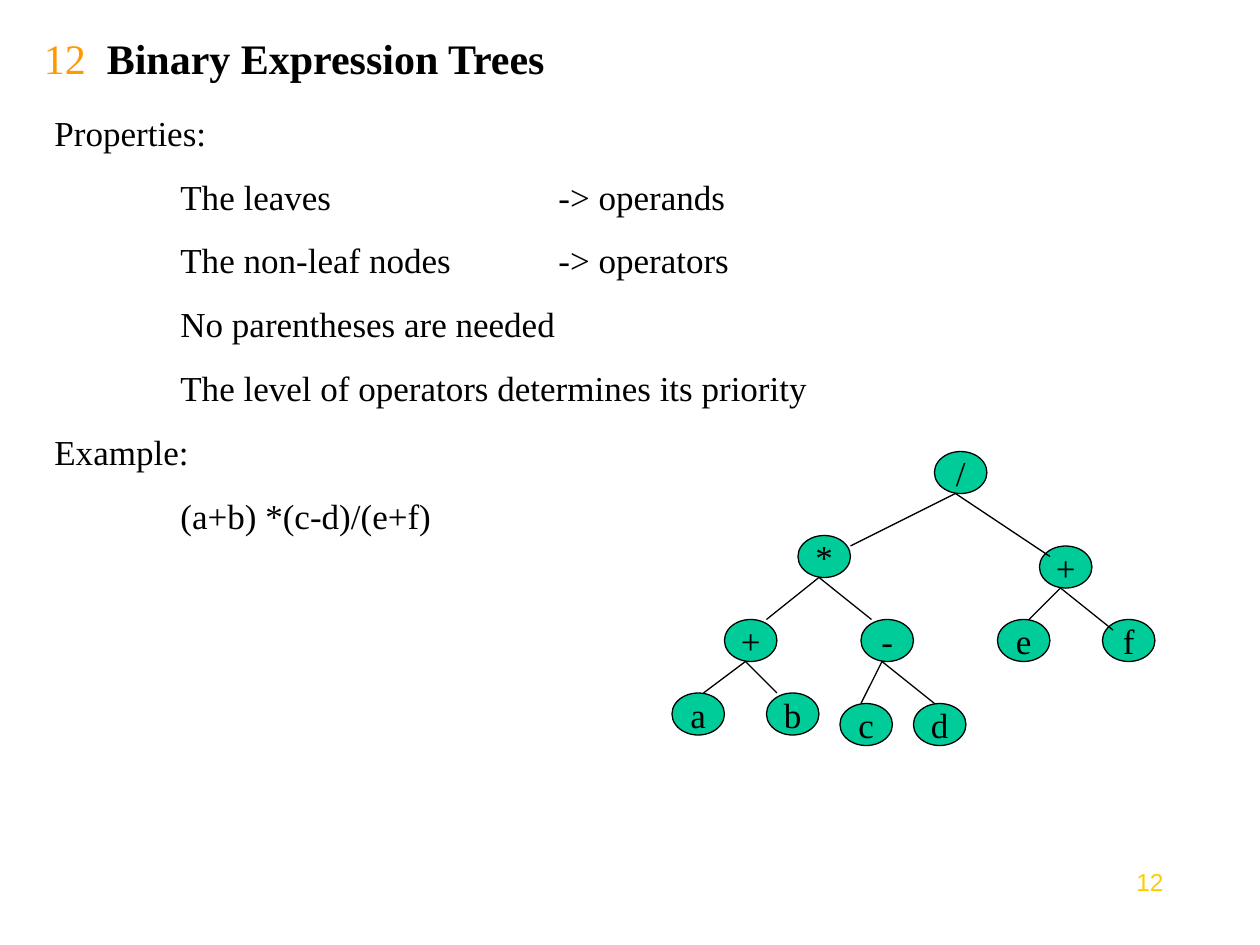
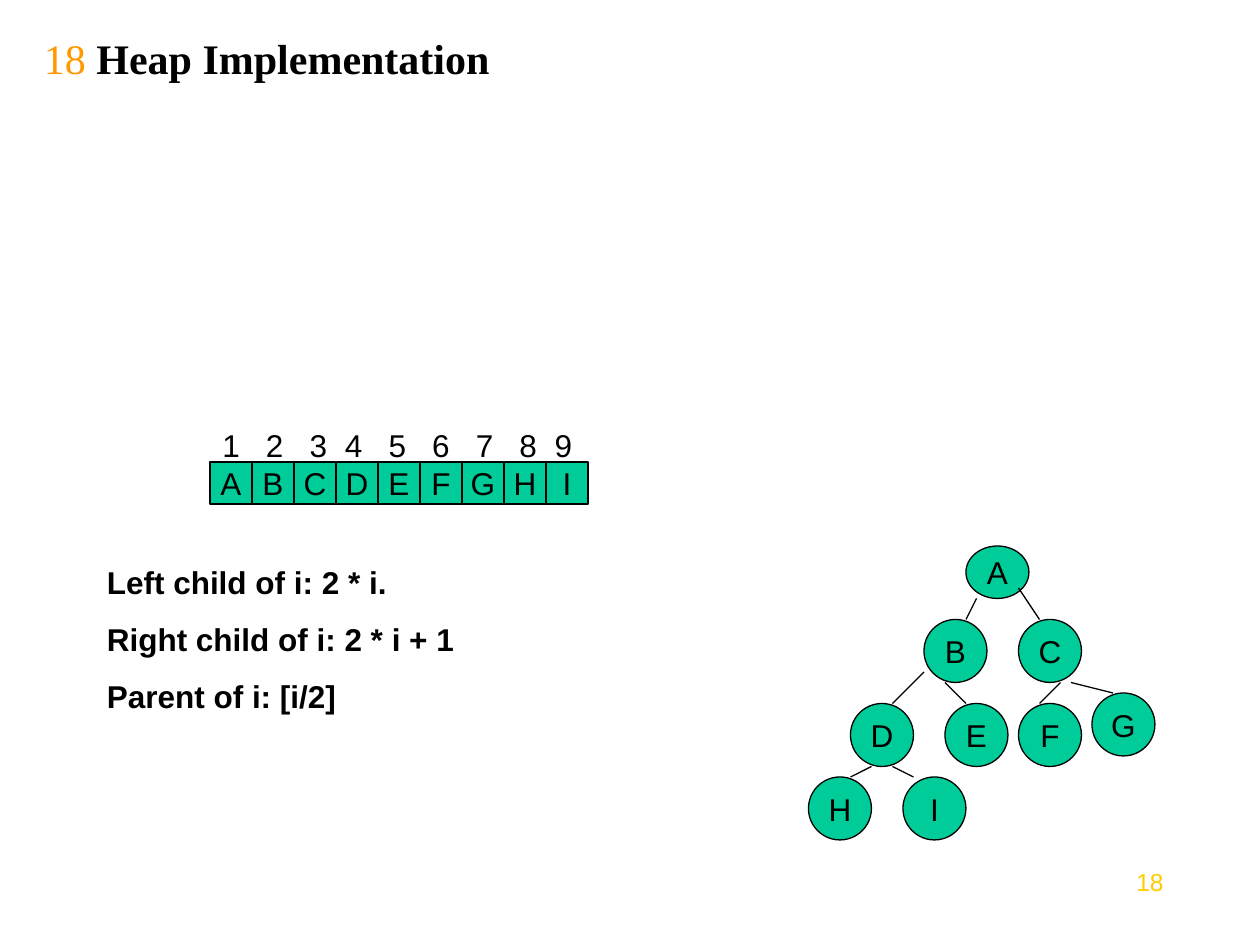
from itertools import accumulate

from lxml import etree
from pptx import Presentation
from pptx import util as u
from pptx.dml.color import RGBColor
from pptx.enum import shapes, text
from pptx.oxml.ns import qn

SERIF, SANS = "Times New Roman", "Arial"
BLACK, ORANGE, YELLOW, GREEN = "000000", "FF9900", "FFCC00", "00CC99"


def grid(n):
    """Turn layout units, twelve to the inch, into a length."""
    return u.Cm(n * 2.54 / 12)


def color(hex_code):
    return RGBColor.from_string(hex_code)


class Deck:
    """Holds the shared style and the slide being filled."""

    def __init__(self):
        self.prs = Presentation()
        self.prs.slide_width, self.prs.slide_height = u.Cm(25.4), u.Cm(19.05)
        self.slide = None

    def new_slide(self, number, title, title_stop):
        """Start a slide with its footer number and a title set at title_stop cm."""
        self.slide = self.prs.slides.add_slide(self.prs.slide_layouts[6])
        self.text_box((104, 82, 8, 6.2), [[(number, YELLOW, False)]], SANS, 14,
                      align=text.PP_ALIGN.RIGHT)
        self.text_box((3, 3, 102, 5),
                      [[(number + "\t", ORANGE, False), (title, BLACK, True)]],
                      SERIF, 24, stops=[title_stop], anchor=text.MSO_ANCHOR.MIDDLE)

    def fill_paragraph(self, paragraph, runs, font, size, align=text.PP_ALIGN.LEFT,
                       before=0, stops=()):
        """Add (words, colour, bold) runs; stops are tab positions in cm."""
        paragraph.alignment = align
        paragraph.line_spacing = u.Pt(size * 1.2)
        paragraph.space_before = u.Pt(before)
        if stops:
            tabs = etree.SubElement(paragraph._p.get_or_add_pPr(), qn("a:tabLst"))
            for stop in stops:
                etree.SubElement(tabs, qn("a:tab"), pos=str(u.Cm(stop)), algn="l")
        for words, hex_code, bold in runs:
            run = paragraph.add_run()
            run.text = words
            run.font.name, run.font.size, run.font.bold = font, u.Pt(size), bold
            run.font.color.rgb = color(hex_code)

    def text_box(self, box, lines, font, size, anchor=text.MSO_ANCHOR.TOP, **layout):
        frame = self.slide.shapes.add_textbox(*map(grid, box)).text_frame
        frame.word_wrap = True
        frame.vertical_anchor = anchor
        for i, runs in enumerate(lines):
            paragraph = frame.add_paragraph() if i else frame.paragraphs[0]
            self.fill_paragraph(paragraph, runs, font, size, **layout)

    def node(self, label, box, font, size, kind=shapes.MSO_SHAPE.OVAL):
        shape = self.slide.shapes.add_shape(kind, *map(grid, box))
        shape.shadow.inherit = False
        shape.fill.solid()
        shape.fill.fore_color.rgb = color(GREEN)
        shape.line.color.rgb = color(BLACK)
        shape.line.width = u.Pt(0.75)
        frame = shape.text_frame
        frame.word_wrap = False
        frame.vertical_anchor = text.MSO_ANCHOR.MIDDLE
        self.fill_paragraph(frame.paragraphs[0], [(label, BLACK, False)], font, size,
                            align=text.PP_ALIGN.CENTER)

    def edge(self, *ends):
        line = self.slide.shapes.add_connector(
            shapes.MSO_CONNECTOR.STRAIGHT, *map(grid, ends))
        line.line.color.rgb = color(BLACK)
        line.line.width = u.Pt(0.75)
        etree.SubElement(line._element.spPr, qn("a:effectLst"))


def expression_trees(deck):
    deck.new_slide("12", "Binary Expression Trees", 1.27)
    properties = [
        "Properties:",
        "\tThe leaves\t-> operands",
        "\tThe non-leaf nodes\t-> operators",
        "\tNo parentheses are needed",
        "\tThe level of operators determines its priority",
        "Example:",
        "\t(a+b) *(c-d)/(e+f)",
    ]
    deck.text_box((4, 10, 84, 41.8), [[(line, BLACK, False)] for line in properties],
                  SERIF, 20, before=12.5, stops=[2.54, 10.16])

    # Label, left, top, then the points where the edges to the children end
    tree = [
        ("/", 89, 43, [(81, 52), (100, 53)]),
        ("*", 76, 51, [(73, 59), (83, 59)]),
        ("+", 69, 59, [(67, 66), (74, 66)]),
        ("a", 64, 66, []),
        ("b", 73, 66, []),
        ("-", 82, 59, [(82, 67), (89, 67)]),
        ("c", 80, 67, []),
        ("d", 87, 67, []),
        ("+", 99, 52, [(98, 59), (106, 60)]),
        ("e", 95, 59, []),
        ("f", 105, 59, []),
    ]
    for label, left, top, _ in tree:
        deck.node(label, (left, top, 5, 4), SERIF, 20)
    for _, left, top, child_ends in tree:
        for end in child_ends:
            deck.edge(left + 2, top + 4, *end)


def heap(deck):
    deck.new_slide("18", "Heap Implementation", 1.06)
    wide, narrow = 0.88, 0.71
    index_steps = [wide, wide, narrow, wide, wide, wide, wide, narrow]
    deck.text_box((20, 40, 37, 4.8), [[("\t".join("123456789"), BLACK, False)]],
                  SANS, 18, before=11.2, stops=list(accumulate(index_steps)))
    for i, item in enumerate("ABCDEFGHI"):
        deck.node(item, (20 + 4 * i, 44, 4, 4), SANS, 18, shapes.MSO_SHAPE.RECTANGLE)

    formulas = ["Left child of i: 2 * i.", "Right child of i: 2 * i + 1",
                "Parent of i: [i/2]"]
    deck.text_box((9, 53, 64, 15.8), [[(line, BLACK, True)] for line in formulas],
                  SANS, 18, before=11.2)

    deck.node("A", (92, 52, 6, 5), SANS, 18)
    descendants = {"B": (88, 59), "C": (97, 59), "D": (81, 67), "E": (90, 67),
                   "F": (97, 67), "G": (104, 66), "H": (77, 74), "I": (86, 74)}
    for label, corner in descendants.items():
        deck.node(label, (*corner, 6, 6), SANS, 18)
    for ends in [(93, 57, 92, 59), (97, 56, 99, 59), (90, 65, 92, 67),
                 (101, 65, 99, 67), (88, 64, 85, 67), (102, 65, 106, 66),
                 (83, 73, 81, 74), (85, 73, 87, 74)]:
        deck.edge(*ends)


def main():
    deck = Deck()
    expression_trees(deck)
    heap(deck)
    deck.prs.save("out.pptx")


if __name__ == "__main__":
    main()
